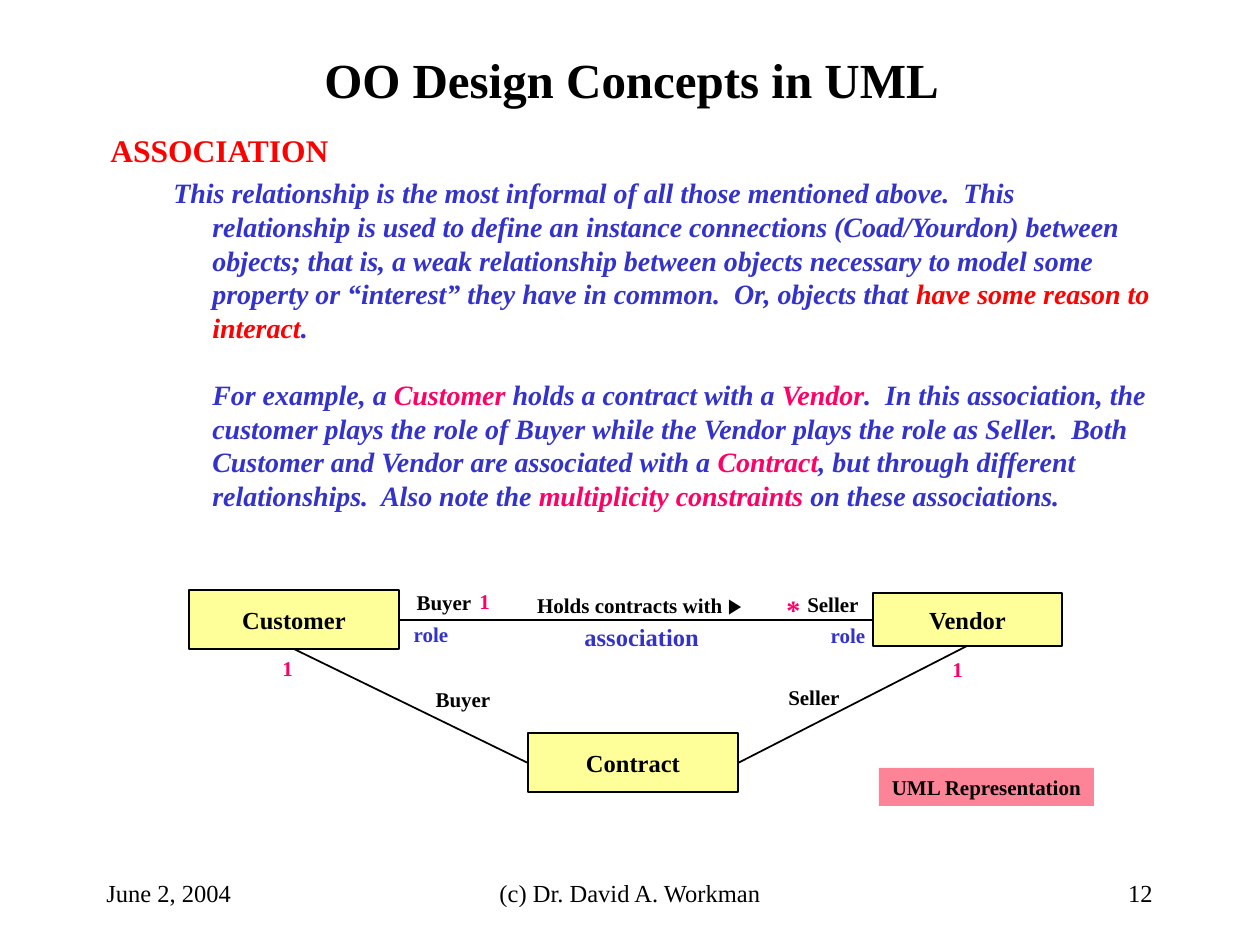
import pptx
import pptx.util
import pptx.dml.color
import pptx.enum.shapes
import pptx.enum.text
import pptx.oxml.ns
import lxml.etree

SCALE = 914400 / 126
ALIGN = pptx.enum.text.PP_ALIGN
ANCHOR = pptx.enum.text.MSO_ANCHOR
COLORS = {"black": "000000", "red": "FF0000", "blue": "3333CC",
          "pink": "FF0066", "yellow": "FFFF99", "rose": "FD8397"}


def color(name):
    return pptx.dml.color.RGBColor.from_string(COLORS[name])


def write(box, runs, size=12, tint="black", bold=True, italic=False, align=ALIGN.CENTER,
          anchor=ANCHOR.TOP, wrap=True, before=0, margin=0, indent=0, new=False):
    frame = box.text_frame
    frame.word_wrap = wrap
    frame.vertical_anchor = anchor
    paragraph = frame.add_paragraph() if new else frame.paragraphs[0]
    paragraph.alignment = align
    paragraph.space_before = pptx.util.Pt(before)
    properties = paragraph._p.get_or_add_pPr()
    properties.set("marL", str(round(margin * SCALE)))
    properties.set("indent", str(round(indent * SCALE)))
    for text, run_tint, font in [(runs, tint, "Times New Roman")] if isinstance(runs, str) else runs:
        run = paragraph.add_run()
        run.text = text
        run.font.size = pptx.util.Pt(size)
        run.font.name = font
        run.font.bold = bold
        run.font.italic = italic
        run.font.color.rgb = color(run_tint)


presentation = pptx.Presentation()
presentation.slide_width = pptx.util.Inches(10)
presentation.slide_height = pptx.util.Inches(7.5)
slide = presentation.slides.add_slide(presentation.slide_layouts[6])

title = slide.shapes.add_textbox(*[round(v * SCALE) for v in (96, 37, 1071, 83)])
write(title, "OO Design Concepts in UML", size=28, anchor=ANCHOR.MIDDLE)

serif = "Times New Roman"
definition = [
    ("This relationship is the most informal of all those mentioned above.  This relationship "
     "is used to define an instance connections (Coad/Yourdon) between objects; that is, a weak "
     "relationship between objects necessary to model some property or “interest” they have in "
     "common.  Or, objects that ", "blue", serif),
    ("have some reason to interact", "red", serif),
    (".", "blue", serif),
]
example = [
    ("For example, a ", "blue", serif),
    ("Customer", "pink", serif),
    (" holds a contract with a ", "blue", serif),
    ("Vendor", "pink", serif),
    (".  In this association, the customer plays the role of Buyer while the Vendor plays the "
     "role as Seller.  Both Customer and Vendor are associated with a ", "blue", serif),
    ("Contract", "pink", serif),
    (", but through different relationships.  Also note the ", "blue", serif),
    ("multiplicity constraints", "pink", serif),
    (" on these associations.", "blue", serif),
]
body = slide.shapes.add_textbox(*[round(v * SCALE) for v in (98, 125, 1071, 397)])
write(body, "ASSOCIATION", size=18, tint="red", align=ALIGN.LEFT, margin=48, indent=-48)
for runs, before, indent in [(definition, 4, -39), (example, 19.2, 0)]:
    write(body, runs, size=16, italic=True, align=ALIGN.LEFT, before=before,
          margin=102, indent=indent, new=True)

for text, left, top, width, height, fill, size in [
    ("Customer", 189, 590, 210, 59, "yellow", 14),
    ("Vendor", 873, 593, 189, 53, "yellow", 14),
    ("Contract", 528, 733, 210, 59, "yellow", 14),
    ("UML Representation", 879, 768, 215, 38, "rose", 12),
]:
    shape = slide.shapes.add_shape(pptx.enum.shapes.MSO_SHAPE.RECTANGLE,
                                   *[round(v * SCALE) for v in (left, top, width, height)])
    shape.shadow.inherit = False
    shape.fill.solid()
    shape.fill.fore_color.rgb = color(fill)
    if fill == "yellow":
        shape.line.color.rgb = color("black")
        shape.line.width = pptx.util.Pt(0.74)
    else:
        shape.line.fill.background()
    write(shape, text, size=size, anchor=ANCHOR.MIDDLE, wrap=False)

for ends in [(399, 620, 873, 620), (294, 649, 528, 763), (738, 763, 967, 646)]:
    line = slide.shapes.add_connector(pptx.enum.shapes.MSO_CONNECTOR.STRAIGHT,
                                      *[round(v * SCALE) for v in ends])
    line.line.color.rgb = color("black")
    line.line.width = pptx.util.Pt(0.99)
    lxml.etree.SubElement(line._element.spPr, pptx.oxml.ns.qn("a:effectLst"))

holds = [("Holds contracts with ", "black", serif), ("▶", "black", "Arial")]
for text, left, top, width, height, style in [
    (holds, 513, 586, 253, 38, {}),
    ("association", 572, 616, 158, 43, {"size": 14, "tint": "blue", "align": ALIGN.LEFT}),
    ("role", 401, 615, 60, 38, {"tint": "blue", "wrap": False}),
    ("role", 818, 616, 60, 38, {"tint": "blue", "wrap": False}),
    ("Buyer", 368, 583, 152, 38, {}),
    ("Seller", 757, 585, 152, 38, {}),
    ("Buyer", 387, 680, 152, 38, {}),
    ("Seller", 738, 678, 152, 38, {}),
    ("1", 270, 649, 35, 38, {"tint": "pink", "wrap": False}),
    ("1", 940, 650, 35, 38, {"tint": "pink", "wrap": False}),
    ("1", 467, 582, 35, 38, {"tint": "pink", "wrap": False}),
    ("*", 774, 586, 39, 47, {"size": 16, "tint": "pink", "wrap": False}),
]:
    label = slide.shapes.add_textbox(*[round(v * SCALE) for v in (left, top, width, height)])
    write(label, text, **style)

for text, left, width, align in [
    ("June 2, 2004", 94, 262, ALIGN.LEFT),
    ("(c) Dr. David A. Workman", 430, 400, ALIGN.CENTER),
    ("12", 903, 262, ALIGN.RIGHT),
]:
    footer = slide.shapes.add_textbox(*[round(v * SCALE) for v in (left, 861, width, 63)])
    write(footer, text, size=14, bold=False, align=align, anchor=ANCHOR.MIDDLE)

presentation.save("out.pptx")
